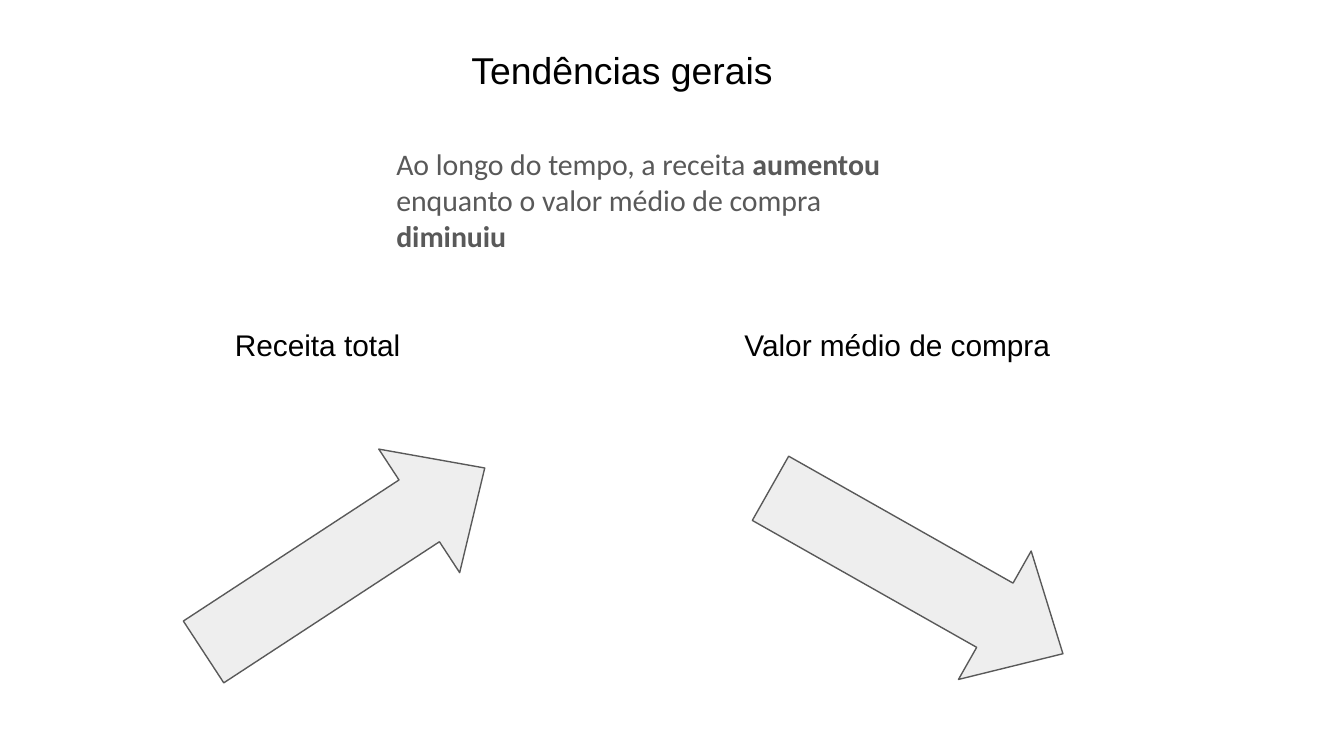
from dataclasses import dataclass

from pptx import Presentation
from pptx.dml.color import RGBColor
from pptx.enum.shapes import MSO_SHAPE
from pptx.enum.text import MSO_AUTO_SIZE
from pptx.util import Cm, Pt

RIGHT_ARROW = MSO_SHAPE.RIGHT_ARROW
GROW = MSO_AUTO_SIZE.SHAPE_TO_FIT_TEXT


@dataclass(frozen=True)
class Theme:
    black: RGBColor = RGBColor(0x00, 0x00, 0x00)
    gray: RGBColor = RGBColor(0x59, 0x59, 0x59)
    light: RGBColor = RGBColor(0xEE, 0xEE, 0xEE)
    title: Pt = Pt(20)
    body: Pt = Pt(16)
    outline: Pt = Pt(0.75)


theme = Theme()


def add_text(s, text, *, x, y, w, h, size=theme.body, font="Arial", color=theme.black):
    tf = s.shapes.add_textbox(Cm(x), Cm(y), Cm(w), Cm(h)).text_frame
    tf.word_wrap = True
    tf.auto_size = GROW
    tf.margin_left = tf.margin_right = tf.margin_top = tf.margin_bottom = Cm(0.25)
    p = tf.paragraphs[0]
    for i, part in enumerate(text.split("**")):
        if part:
            r = p.add_run()
            r.text = part
            r.font.name = font
            r.font.size = size
            r.font.color.rgb = color
            r.font.bold = i % 2 == 1


prs = Presentation()
prs.slide_width = Cm(25.4)
prs.slide_height = Cm(14.29)
s = prs.slides.add_slide(prs.slide_layouts[6])

add_text(
    s,
    "Ao longo do tempo, a receita **aumentou** enquanto o valor médio de compra **diminuiu**",
    x=7.24, y=2.51, w=9.93, h=1.88, font="Calibri", color=theme.gray,
)

for x, y, angle in [(3.33, 9.19, 326.8), (14.15, 9.4, 29.5)]:
    arrow = s.shapes.add_shape(RIGHT_ARROW, Cm(x), Cm(y), Cm(6.35), Cm(2.79))
    arrow.rotation = angle
    arrow.adjustments[0] = 0.5
    arrow.adjustments[1] = 0.53
    arrow.shadow.inherit = False
    arrow.fill.solid()
    arrow.fill.fore_color.rgb = theme.light
    arrow.line.color.rgb = theme.gray
    arrow.line.width = theme.outline

for label, x, w in [("Receita total", 4.19, 3.91), ("Valor médio de compra", 13.82, 6.83)]:
    add_text(s, label, x=x, y=5.92, w=w, h=1.19)

add_text(s, "Tendências gerais", x=8.66, y=0.64, w=7.09, h=1.37, size=theme.title)

prs.save("out.pptx")
